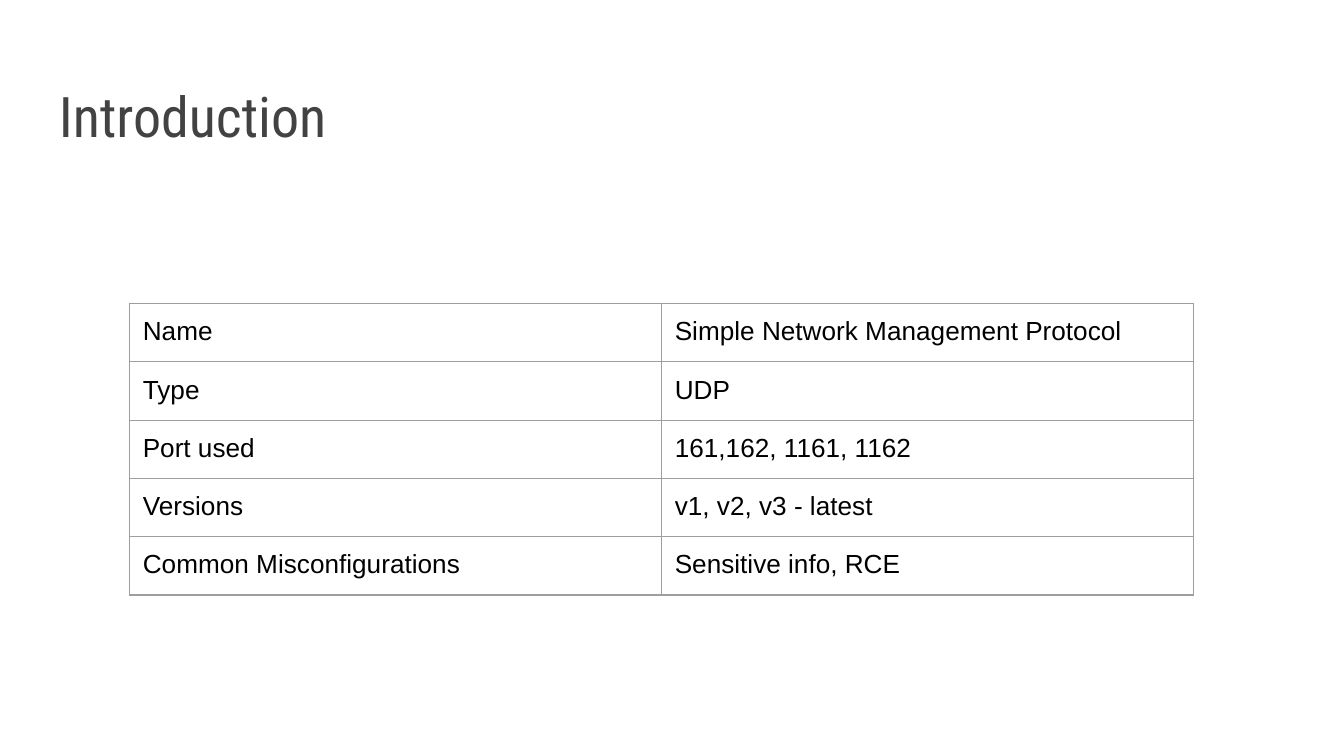
from lxml import etree
from pptx import Presentation
from pptx.dml.color import RGBColor
from pptx.enum.text import MSO_ANCHOR
from pptx.oxml.ns import qn
from pptx.util import Pt

BOTTOM = MSO_ANCHOR.BOTTOM
TOP = MSO_ANCHOR.TOP

WHITE = RGBColor(0xFF, 0xFF, 0xFF)
BLACK = RGBColor(0x00, 0x00, 0x00)
DARK_GREY = RGBColor(0x42, 0x42, 0x42)
BORDER_GREY = RGBColor(0x9E, 0x9E, 0x9E)

INSET = Pt(7.2)
COLUMN_WIDTH = Pt(285)
ROW_HEIGHT = Pt(30.1)

FACTS = [
    ("Name", "Simple Network Management Protocol"),
    ("Type", "UDP"),
    ("Port used", "161,162, 1161, 1162"),
    ("Versions", "v1, v2, v3 - latest"),
    ("Common Misconfigurations", "Sensitive info, RCE"),
]


def set_text(p, text, font, size, color):
    p.text = text
    p.font.name = font
    p.font.size = Pt(size)
    p.font.color.rgb = color


def set_margins(box):
    box.margin_left = box.margin_right = INSET
    box.margin_top = box.margin_bottom = INSET


def add_title(s, text):
    tf = s.shapes.add_textbox(Pt(24.5), Pt(29.5), Pt(671), Pt(57.6)).text_frame
    tf.word_wrap = True
    tf.vertical_anchor = BOTTOM
    set_margins(tf)
    set_text(tf.paragraphs[0], text, "Roboto Condensed", 30, DARK_GREY)


def add_borders(cell):
    tc_pr = cell._tc.get_or_add_tcPr()
    for i, side in enumerate(("a:lnL", "a:lnR", "a:lnT", "a:lnB")):
        ln = etree.Element(qn(side), w=str(Pt(0.75)))
        fill = etree.SubElement(ln, qn("a:solidFill"))
        etree.SubElement(fill, qn("a:srgbClr"), val=str(BORDER_GREY))
        tc_pr.insert(i, ln)


def add_fact_table(s, facts):
    rows, cols = len(facts), len(facts[0])
    table = s.shapes.add_table(
        rows, cols, Pt(69.3), Pt(162.6), COLUMN_WIDTH * cols, ROW_HEIGHT * rows
    ).table
    table.first_row = False
    table.horz_banding = False
    for column in table.columns:
        column.width = COLUMN_WIDTH
    for row, texts in zip(table.rows, facts):
        row.height = ROW_HEIGHT
        for cell, text in zip(row.cells, texts):
            cell.fill.background()
            cell.vertical_anchor = TOP
            set_margins(cell)
            set_text(cell.text_frame.paragraphs[0], text, "Arial", 14, BLACK)
            add_borders(cell)


def main():
    prs = Presentation()
    prs.slide_width = Pt(720)
    prs.slide_height = Pt(405)
    s = prs.slides.add_slide(prs.slide_layouts[6])
    s.background.fill.solid()
    s.background.fill.fore_color.rgb = WHITE
    add_title(s, "Introduction")
    add_fact_table(s, FACTS)
    prs.save("out.pptx")


if __name__ == "__main__":
    main()
